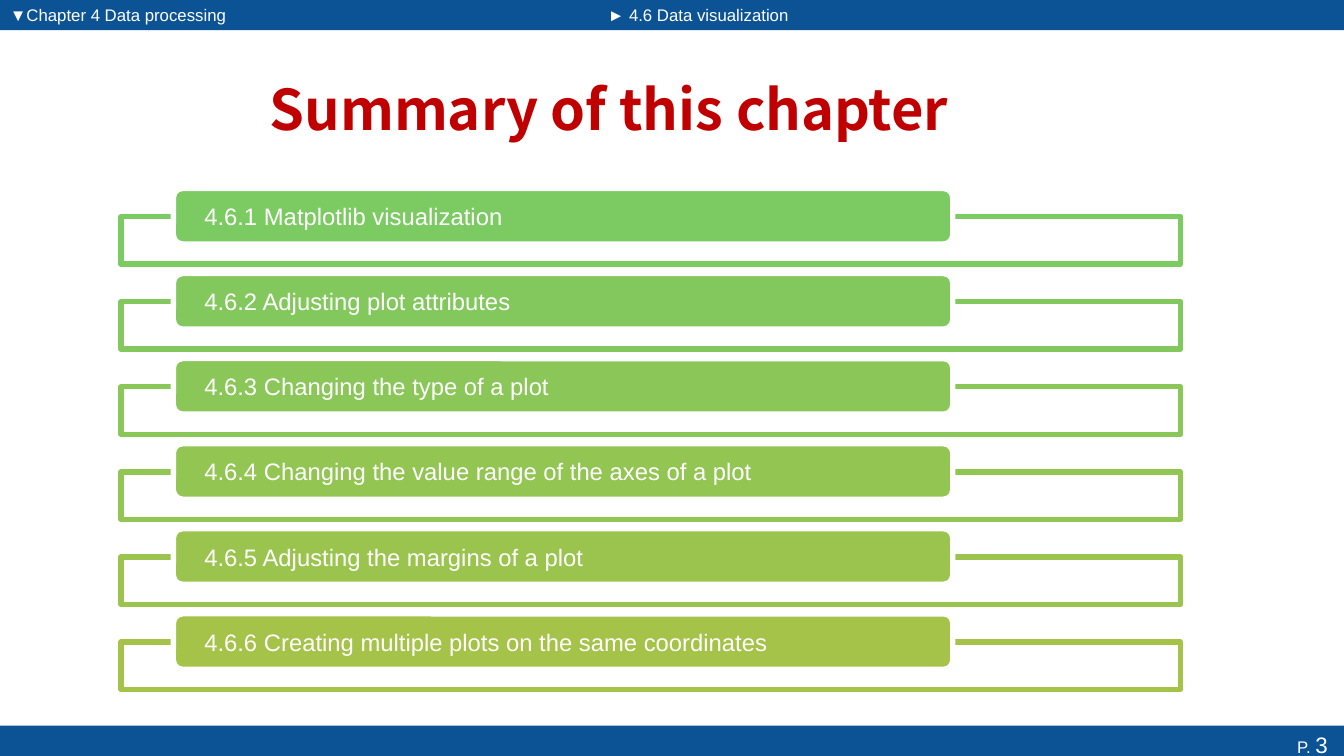
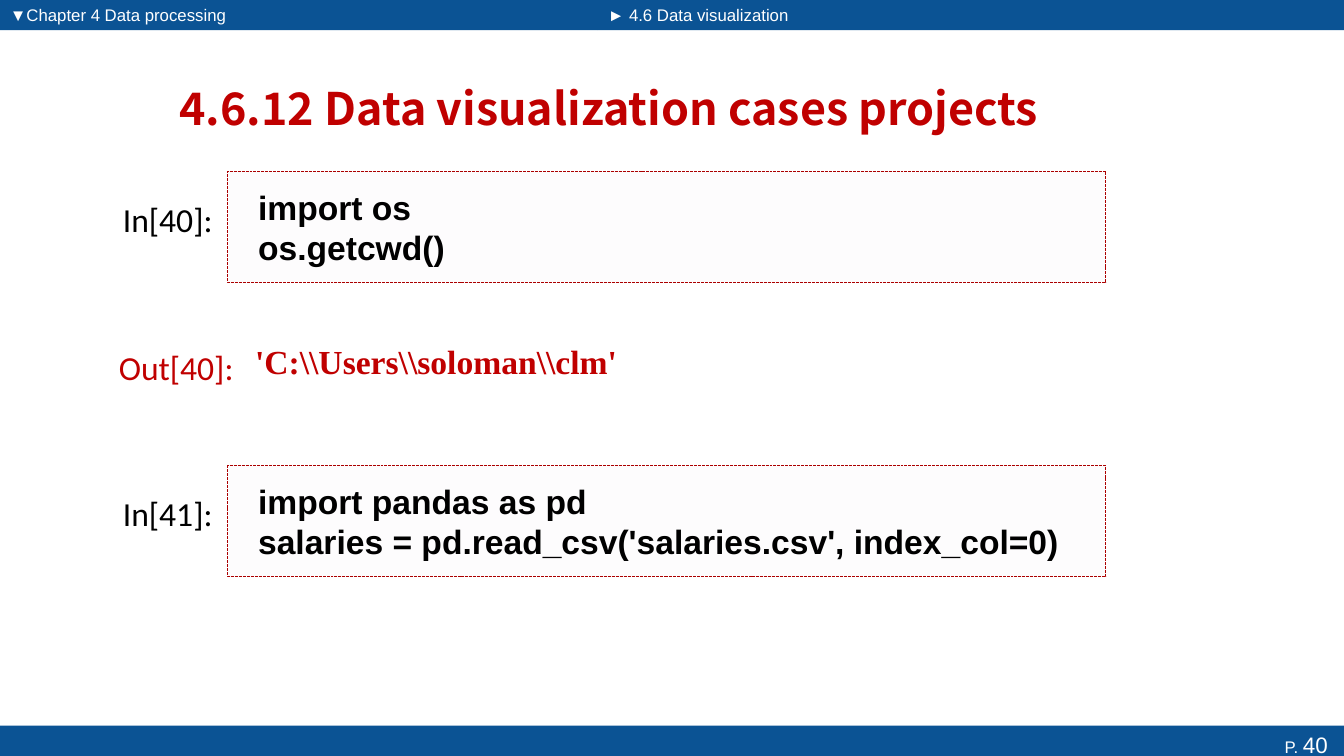
import dataclasses

import lxml.etree
import pptx
import pptx.dml.color
import pptx.enum.dml
import pptx.enum.shapes
import pptx.enum.text
import pptx.oxml.ns
import pptx.util

Inches = pptx.util.Inches
Pt = pptx.util.Pt
Kind = pptx.enum.shapes.MSO_SHAPE
Align = pptx.enum.text.PP_ALIGN
Anchor = pptx.enum.text.MSO_ANCHOR


@dataclasses.dataclass(frozen=True)
class Theme:
    band: str = "0B5394"
    red: str = "C00000"
    edge: str = "AB0000"
    code: str = "F1EEF4"
    white: str = "FFFFFF"
    black: str = "000000"
    greens: tuple = ("7CCA62", "83C85D", "8AC758", "93C553", "9BC44E", "A5C249")
    head: str = "Noto Sans CJK SC"
    sans: str = "Arial"
    label: str = "Calibri"
    serif: str = "Times New Roman"
    small: int = 12
    page: int = 16
    item: int = 17
    body: int = 24


THEME = Theme()
WIDE, HIGH = 13.33, 7.5
SPLIT = 5.93
BAR = 0.3
INSET = (0.1, 0.05, 0.1, 0.05)
PAD = (0.3, 0.05, 0.1, 0.05)


def rgb(code):
    return pptx.dml.color.RGBColor.from_string(code)


def box(slide, area, fill, kind=Kind.RECTANGLE, line=None, width=0, alpha=None):
    shape = slide.shapes.add_shape(kind, *map(Inches, area))
    shape.shadow.inherit = False
    shape.fill.solid()
    shape.fill.fore_color.rgb = rgb(fill)
    if alpha is not None:
        tint = shape.element.spPr.xpath("./a:solidFill/a:srgbClr")[0]
        tag = pptx.oxml.ns.qn("a:alpha")
        lxml.etree.SubElement(tint, tag).set("val", str(alpha * 1000))
    if line:
        shape.line.color.rgb = rgb(line)
        shape.line.width = Pt(width)
    else:
        shape.line.fill.background()
    return shape


def write(shape, lines, font, size, color, bold=False, align=Align.LEFT,
          inset=INSET, anchor=Anchor.MIDDLE):
    frame = shape.text_frame
    frame.word_wrap = True
    frame.vertical_anchor = anchor
    (frame.margin_left, frame.margin_top,
     frame.margin_right, frame.margin_bottom) = map(Inches, inset)
    for row, line in enumerate(lines):
        para = frame.add_paragraph() if row else frame.paragraphs[0]
        para.alignment = align
        para.font.name = font
        para.font.size = Pt(size)
        para.font.bold = bold
        para.font.color.rgb = rgb(color)
        para.add_run().text = line
    return frame


def text(slide, area, line, font, size, color, **style):
    shape = slide.shapes.add_textbox(*map(Inches, area))
    return write(shape, [line], font, size, color, **style)


def base(deck, title, size, page):
    slide = deck.slides.add_slide(deck.slide_layouts[6])
    tabs = ((0, SPLIT, "▼Chapter 4 Data processing"),
            (SPLIT, WIDE - SPLIT, "► 4.6 Data visualization"))
    for left, width, name in tabs:
        tab = box(slide, (left, 0, width, BAR), THEME.band)
        write(tab, [name], THEME.sans, THEME.small, THEME.white,
              anchor=Anchor.TOP)
    foot = box(slide, (0, HIGH - BAR, WIDE, BAR), THEME.band)
    frame = write(foot, ["P. "], THEME.sans, THEME.small, THEME.white,
                  align=Align.RIGHT, inset=(0.1, 0.05, 0.16, 0),
                  anchor=Anchor.TOP)
    run = frame.paragraphs[0].add_run()
    run.text = str(page)
    run.font.size = Pt(THEME.page)
    text(slide, (0.68, 0.62, 10.72, 0.9), title, THEME.head, size, THEME.red,
         bold=True, align=Align.CENTER)
    return slide


def items(slide, names):
    step = 4.22 / 5
    for row, (name, green) in enumerate(zip(names, THEME.greens)):
        top = 1.87 + row * step
        box(slide, (1.2, top + 0.28, 10.51, 0.47), THEME.white,
            line=green, width=3.78, alpha=90)
        pill = box(slide, (1.72, top, 7.73, 0.55), green,
                   Kind.ROUNDED_RECTANGLE, THEME.white, 3.78)
        write(pill, [name], THEME.sans, THEME.item, THEME.white,
              inset=(0.28, 0, 0.28, 0))


def cell(slide, top, name, lines):
    text(slide, (1.12, top + 0.22, 1.11, 0.5), name, THEME.label, THEME.body,
         THEME.black, anchor=Anchor.TOP)
    pane = box(slide, (2.26, top, 8.71, 1.1), THEME.code,
               line=THEME.edge, width=0.7, alpha=13)
    pane.line.dash_style = pptx.enum.dml.MSO_LINE.SQUARE_DOT
    write(pane, lines, THEME.sans, THEME.body, THEME.black, bold=True,
          inset=PAD)


def result(slide, top, name, value):
    text(slide, (1.08, top + 0.13, 1.35, 0.5), name, THEME.label, THEME.body,
         THEME.red, anchor=Anchor.TOP)
    text(slide, (2.23, top, 8.74, 0.65), value, THEME.serif, THEME.body,
         THEME.red, bold=True, inset=PAD)


def main():
    deck = pptx.Presentation()
    deck.slide_width = Inches(WIDE)
    deck.slide_height = Inches(HIGH)

    slide = base(deck, "Summary of this chapter", 40, 3)
    items(slide, (
        "4.6.1 Matplotlib visualization",
        "4.6.2 Adjusting plot attributes",
        "4.6.3 Changing the type of a plot",
        "4.6.4 Changing the value range of the axes of a plot",
        "4.6.5 Adjusting the margins of a plot",
        "4.6.6 Creating multiple plots on the same coordinates",
    ))

    slide = base(deck, "4.6.12 Data visualization cases projects", 32, 40)
    cell(slide, 1.7, "In[40]:", ("import os", "os.getcwd()"))
    result(slide, 3.26, "Out[40]:", r"'C:\\Users\\soloman\\clm'")
    cell(slide, 4.62, "In[41]:", (
        "import pandas as pd",
        "salaries = pd.read_csv('salaries.csv', index_col=0)",
    ))

    deck.save("out.pptx")


if __name__ == "__main__":
    main()
